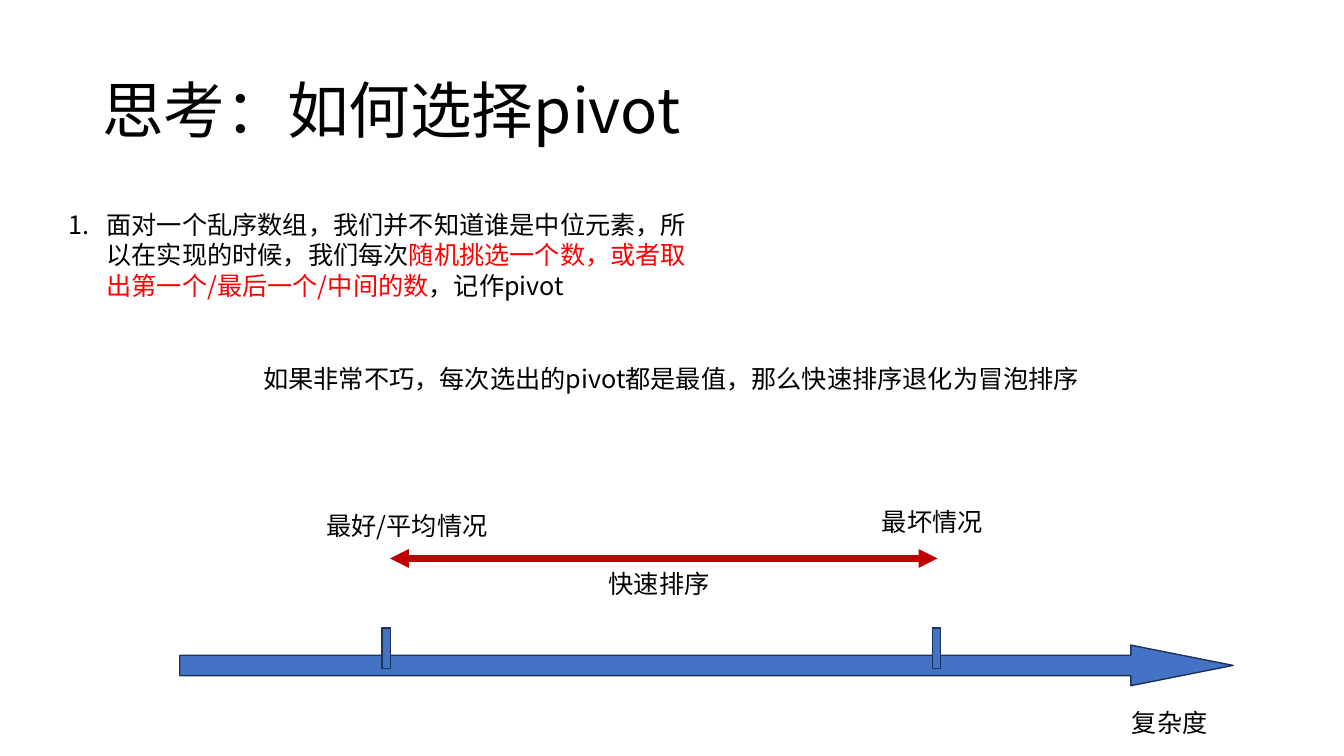
import pptx
import pptx.util
import pptx.dml.color
import pptx.enum.shapes
import pptx.enum.text
import pptx.oxml.ns
import lxml.etree
from dataclasses import dataclass

Pt = pptx.util.Pt
RGB = pptx.dml.color.RGBColor.from_string
qn = pptx.oxml.ns.qn
Shape = pptx.enum.shapes.MSO_SHAPE
Anchor = pptx.enum.text.MSO_ANCHOR
Fit = pptx.enum.text.MSO_AUTO_SIZE


@dataclass(frozen=True)
class Theme:
    font: str = "Noto Sans CJK SC"
    ink: str = "000000"
    hot: str = "FF0000"
    blue: str = "4472C4"
    edge: str = "1E3256"
    span: str = "C00000"
    head: int = 44
    body: int = 18


theme = Theme()
deck = pptx.Presentation()
deck.slide_width, deck.slide_height = Pt(960), Pt(540)
slide = deck.slides.add_slide(deck.slide_layouts[6])
shapes = slide.shapes


def write(*parts, box, size=theme.body, wrap=False, anchor=Anchor.TOP,
          fit=Fit.SHAPE_TO_FIT_TEXT, lead=None, number=False):
    """Add one paragraph; each part is a string or a (string, colour) pair."""
    frame = shapes.add_textbox(*map(Pt, box)).text_frame
    frame.word_wrap = wrap
    frame.auto_size = fit
    frame.vertical_anchor = anchor
    para = frame.paragraphs[0]
    if lead:
        para.line_spacing = lead
    if number:
        props = para._p.get_or_add_pPr()
        props.set("marL", str(Pt(27)))
        props.set("indent", str(-Pt(27)))
        lxml.etree.SubElement(props, qn("a:buFont"), typeface="+mj-lt")
        lxml.etree.SubElement(props, qn("a:buAutoNum"), type="arabicPeriod")
    for part in parts:
        text, color = (part, theme.ink) if isinstance(part, str) else part
        run = para.add_run()
        run.text = text
        run.font.size = Pt(size)
        run.font.color.rgb = RGB(color)
        run.font.name = theme.font
        lxml.etree.SubElement(run._r.get_or_add_rPr(), qn("a:ea"), typeface=theme.font)


def block(kind, *box):
    """Add a blue shape with a dark edge."""
    item = shapes.add_shape(kind, *map(Pt, box))
    item.shadow.inherit = False
    item.fill.solid()
    item.fill.fore_color.rgb = RGB(theme.blue)
    item.line.color.rgb = RGB(theme.edge)
    item.line.width = Pt(1)
    return item


# Title and main points
write("思考：如何选择pivot", box=(66, 29, 828, 104), size=theme.head,
      wrap=True, anchor=Anchor.MIDDLE, fit=Fit.NONE, lead=0.9)
write("面对一个乱序数组，我们并不知道谁是中位元素，所以在实现的时候，我们每次",
      ("随机挑选一个数，或者取出第一个/最后一个/中间的数", theme.hot),
      "，记作pivot", box=(42, 146, 463, 73), wrap=True, number=True)
write("如果非常不巧，每次选出的pivot都是最值，那么快速排序退化为冒泡排序",
      box=(181, 255.6, 617, 29))

# Complexity axis with its two ticks
axis = block(Shape.RIGHT_ARROW, 128.4, 460.8, 752.4, 29)
axis.adjustments[1] = 2.52
for left in (273, 666):
    block(Shape.RECTANGLE, left, 448.6, 6, 29)

# Range of quicksort
span = shapes.add_connector(pptx.enum.shapes.MSO_CONNECTOR.STRAIGHT,
                            Pt(278.6), Pt(398.9), Pt(669.6), Pt(398.9))
span.line.color.rgb = RGB(theme.span)
span.line.width = Pt(4.5)
for end in ("a:headEnd", "a:tailEnd"):
    lxml.etree.SubElement(span.line._get_or_add_ln(), qn(end), type="triangle")
lxml.etree.SubElement(span._element.spPr, qn("a:effectLst"))

# Labels
for text, left, top, width, wrap in (
    ("复杂度", 801.4, 501.8, 72, True),
    ("快速排序", 427.7, 402.5, 87, False),
    ("最坏情况", 622.8, 357.8, 87, False),
    ("最好/平均情况", 226.1, 360.7, 130.3, True),
):
    write(text, box=(left, top, width, 29), wrap=wrap)

deck.save("out.pptx")
